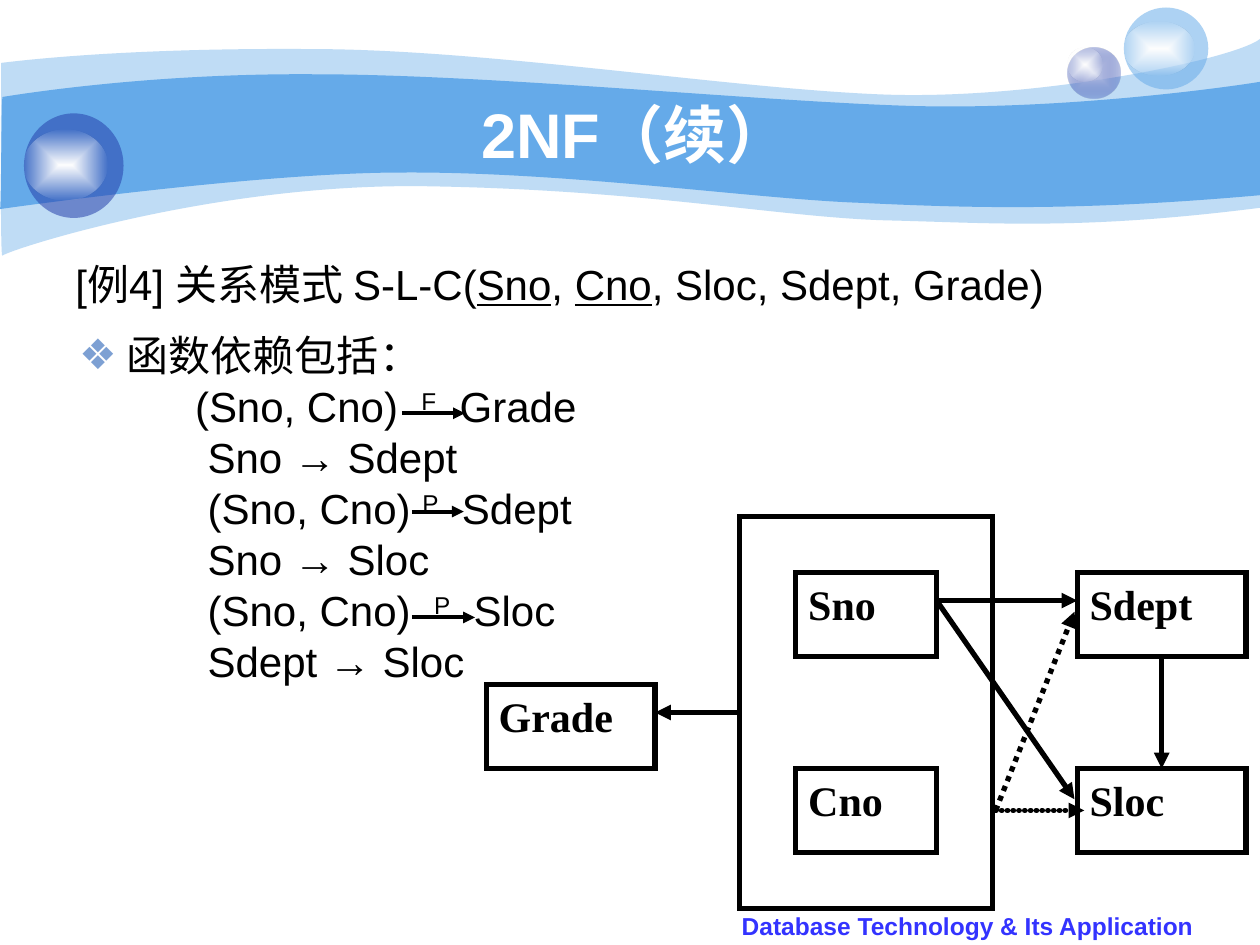
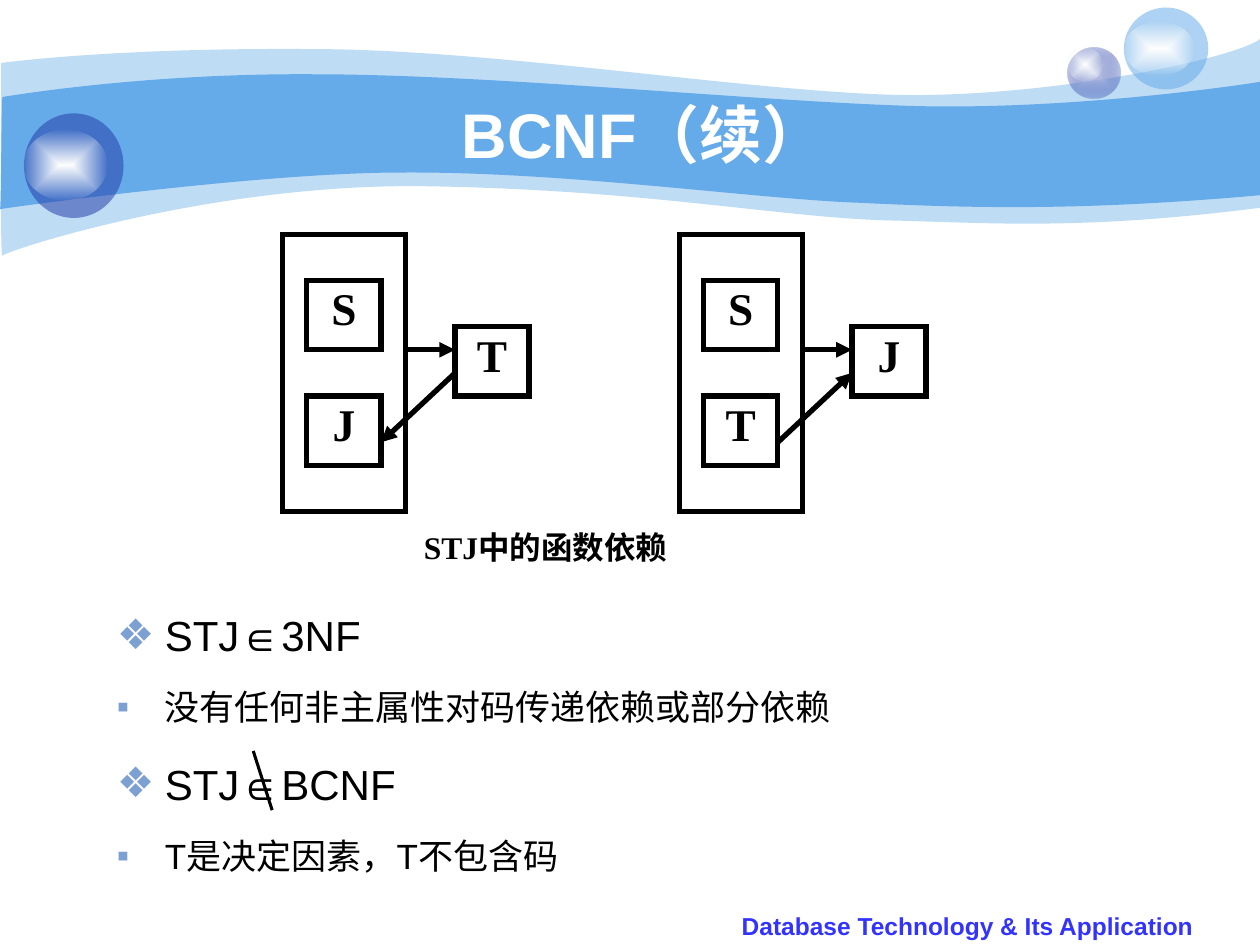
from lxml import etree
from pptx import Presentation
from pptx.dml.color import RGBColor
from pptx.enum.dml import MSO_LINE
from pptx.enum.shapes import MSO_CONNECTOR, MSO_SHAPE
from pptx.enum.text import MSO_ANCHOR, PP_ALIGN
from pptx.oxml.ns import qn
from pptx.util import Inches, Pt

WHITE = RGBColor(0xFF, 0xFF, 0xFF)
BLACK = RGBColor(0, 0, 0)
SKY = RGBColor(0x65, 0xAA, 0xE9)
NAVY = RGBColor(0x23, 0x3D, 0xA9)
LILAC = RGBColor(0xC7, 0xCE, 0xE9)
BULLET = RGBColor(0x7D, 0xA0, 0xD3)
FOOTER_BLUE = RGBColor(0x33, 0x33, 0xFF)
SANS, SERIF = "Arial", "Times New Roman"
LEFT, CENTER = PP_ALIGN.LEFT, PP_ALIGN.CENTER
TOP, MIDDLE = MSO_ANCHOR.TOP, MSO_ANCHOR.MIDDLE
RECTANGLE, OVAL = MSO_SHAPE.RECTANGLE, MSO_SHAPE.OVAL
STRAIGHT, DOTTED = MSO_CONNECTOR.STRAIGHT, MSO_LINE.ROUND_DOT

# Shared frame: waves (start, then curves or straight steps), orbs, footer
FOOTER = "Database Technology & Its Application"
PALE_WAVE = [
    (0.01, 0.5),
    (0.25, 0.47, 1.08, 0.38, 2.47, 0.39), (3.86, 0.39, 5.76, 0.7, 6.99, 0.75),
    (8.22, 0.8, 9.8, 0.47, 10, 0.31), (10, 1.65),
    (8.58, 1.83, 7.88, 1.77, 7.05, 1.75), (6.22, 1.73, 5.15, 1.51, 3.44, 1.48),
    (1.72, 1.44, 0.05, 1.99, 0.02, 2.03), (0, 2.08, 0.01, 0.75, 0.01, 0.5),
]
DEEP_WAVE = [
    (0.02, 0.77),
    (0.03, 0.77, 1.11, 0.58, 2.49, 0.59), (3.87, 0.59, 5.96, 0.8, 7.19, 0.84),
    (8.41, 0.88, 9.76, 0.69, 10, 0.65), (10, 1.55),
    (8.53, 1.68, 7.66, 1.65, 6.82, 1.61), (5.99, 1.58, 4.48, 1.36, 3.18, 1.37),
    (2.04, 1.37, -0.01, 1.66, 0, 1.66), (0.01, 1.66, 0.01, 0.77, 0.02, 0.77),
]
WAVES = [(PALE_WAVE, 41), (DEEP_WAVE, 100)]
GLOSS = [(WHITE, 100), (WHITE, 0)]
# Each fill is one (colour, opacity) or two from the centre outwards
ORBS = [
    ((8.47, 0.38, 0.42, 0.4), [(LILAC, 100), (NAVY, 31)]),
    ((8.47, 0.38, 0.28, 0.27), GLOSS),
    ((8.92, 0.06, 0.67, 0.65), [(SKY, 53)]),
    ((8.92, 0.17, 0.56, 0.43), GLOSS),
    ((0.19, 0.9, 0.79, 0.83), [(NAVY, 53)]),
    ((0.19, 1.03, 0.66, 0.56), GLOSS),
]

# First slide: schema, dependencies and their diagram
SCHEMA = [("[例4] 关系模式 S-L-C(", ""), ("Sno", "underline"), (", ", ""),
          ("Cno", "underline"), (", Sloc, Sdept, Grade)", "")]
# Indent, then the spans; a wide space makes room for an arrow
WIDE = (" ", "wide")
DEPENDENCIES = [
    (0.92, [("(Sno, Cno)", ""), WIDE, ("F", "raised"), WIDE, ("Grade", "")]),
    (1.02, "Sno → Sdept"),
    (1.02, [("(Sno, Cno) ", ""), ("P", "raised"), WIDE, ("Sdept", "")]),
    (1.02, "Sno → Sloc"),
    (1.02, [("(Sno, Cno)", ""), WIDE, ("P", "raised"), WIDE, ("Sloc", "")]),
    (1.02, "Sdept → Sloc"),
]
LABEL_ARROWS = [(3.19, 3.28, 3.69), (3.27, 4.06, 3.68), (3.27, 4.9, 3.77)]

# Diagrams in grid cells: boxes (label, column, row, columns, rows),
# arrows (from column, from row, to column, to row, dash)
SLC_DIAGRAM = {
    "origin": (3.86, 4.1), "cell": (6.03 / 27, 3.11 / 14),
    "text": dict(size=24, font=SERIF, bold=True),
    "boxes": [("", 9, 0, 9, 14), ("Sno", 11, 2, 5, 3), ("Cno", 11, 9, 5, 3),
              ("Grade", 0, 6, 6, 3), ("Sdept", 21, 2, 6, 3), ("Sloc", 21, 9, 6, 3)],
    "arrows": [(9, 7, 6, 7, ""), (16, 3, 21, 3, ""), (16, 3, 20.9, 10.1, ""),
               (18.1, 10.5, 20.9, 3.4, "dotted"), (18.1, 10.5, 21.25, 10.5, "fine"),
               (24, 5, 24, 9, "")],
}


def stj_diagram(left, lower, outside, slanted):
    return {
        "origin": (left, 1.86), "cell": (0.98 / 5, 2.2 / 12),
        "text": dict(size=25.9, font=SERIF, bold=True, align=CENTER, spacing=0.9),
        "boxes": [("", 0, 0, 5, 12), ("S", 1, 2, 3, 3), (lower, 1, 7, 3, 3),
                  (outside, 7, 4, 3, 3)],
        "arrows": [(5, 5, 7, 5, ""), (*slanted, "")],
    }


# Second slide: two diagrams and the conclusions
STJ_DIAGRAMS = [stj_diagram(2.24, "J", "T", (7, 6, 4, 9)),
                stj_diagram(5.39, "T", "J", (4, 9, 7, 6))]
CONCLUSIONS = [
    ("STJ∈3NF", "❖", 24, 6),
    ("没有任何非主属性对码传递依赖或部分依赖", "▪", 20, 5),
    ("STJ∈BCNF", "❖", 24, 6),
    ("T是决定因素，T不包含码", "▪", 20, 5),
]
STRIKE = (2.01, 5.96, 2.16, 6.43)


def add_node(parent, tag, **attributes):
    return etree.SubElement(parent, qn(tag), {k: str(v) for k, v in attributes.items()})


def add_colour(parent, colour, opacity=100):
    node = add_node(parent, "a:srgbClr", val=colour)
    if opacity < 100:
        add_node(node, "a:alpha", val=opacity * 1000)


def paint(shape, stops):
    """Fill with one colour, or with two blended from the centre outwards."""
    shape.shadow.inherit = False
    shape.line.fill.background()
    shape.fill.solid()
    solid = shape.fill._xPr.find(qn("a:solidFill"))
    if len(stops) == 1:
        for child in list(solid):
            solid.remove(child)
        add_colour(solid, *stops[0])
        return
    blend = etree.Element(qn("a:gradFill"), rotWithShape="1")
    stop_list = add_node(blend, "a:gsLst")
    for position, stop in zip((0, 100000), stops):
        add_colour(add_node(stop_list, "a:gs", pos=position), *stop)
    centre = add_node(blend, "a:path", path="rect")
    add_node(centre, "a:fillToRect", l=50000, t=50000, r=50000, b=50000)
    solid.getparent().replace(solid, blend)


def add_wave(page, outline, opacity):
    """Build the outline from its control points, then turn triples into curves."""
    points = [(Inches(x), Inches(y)) for part in outline
              for x, y in zip(part[::2], part[1::2])]
    builder = page.shapes.build_freeform(*points[0])
    builder.add_line_segments(points[1:], close=True)
    wave = builder.convert_to_shape()
    steps = iter(list(wave._element.iter(qn("a:lnTo"))))
    for part in outline[1:]:
        first = next(steps)
        if len(part) == 6:
            curve = etree.Element(qn("a:cubicBezTo"))
            first.getparent().replace(first, curve)
            for step in (first, next(steps), next(steps)):
                curve.append(step[0])
                if step.getparent() is not None:
                    step.getparent().remove(step)
    paint(wave, [(SKY, opacity)])


def write(para, spans, size, font=SANS, colour=BLACK, bold=False, align=LEFT,
          spacing=None, before=0, bullet="", indent=0):
    properties = para._p.get_or_add_pPr()
    if bullet:
        properties.set("marL", str(Inches(0.38)))
        properties.set("indent", str(-Inches(0.38)))
        add_colour(add_node(properties, "a:buClr"), BULLET)
        add_node(properties, "a:buFont", typeface=SANS)
        add_node(properties, "a:buChar", char=bullet)
    else:
        properties.set("marL", "0")
        properties.set("indent", str(Inches(indent)))
        add_node(properties, "a:buNone")
    para.alignment = align
    para.space_before = Pt(before)
    if spacing:
        para.line_spacing = spacing
    para.font.size, para.font.name, para.font.bold = Pt(size), font, bold
    para.font.color.rgb = colour
    for text, style in [(spans, "")] if isinstance(spans, str) else spans:
        span = para.add_run()
        span.text = text
        if style == "underline":
            span.font.underline = True
        elif style == "raised":
            span.font._element.set("baseline", "30000")
        elif style == "wide":
            span.font._element.set("spc", "667")


def add_text(page, place, paragraphs, anchor=TOP):
    """Place a text box; each paragraph is (spans, formatting)."""
    box = page.shapes.add_textbox(*map(Inches, place))
    frame = box.text_frame
    frame.word_wrap = True
    frame.vertical_anchor = anchor
    for index, (spans, formatting) in enumerate(paragraphs):
        para = frame.add_paragraph() if index else frame.paragraphs[0]
        write(para, spans, **formatting)


def add_line(page, ends, width, arrow=True, dash=""):
    line = page.shapes.add_connector(STRAIGHT, *map(Inches, ends))
    line.line.color.rgb = BLACK
    line.line.width = Pt(width)
    outline = line.line._get_or_add_ln()
    if dash == "dotted":
        line.line.dash_style = DOTTED
    elif dash == "fine":
        outline.set("cap", "rnd")
        add_node(add_node(outline, "a:custDash"), "a:ds", d=10000, sp=100000)
    if arrow:
        add_node(outline, "a:tailEnd", type="triangle")
    add_node(line._element.spPr, "a:effectLst")


def add_diagram(page, diagram):
    (left, top), (column, row) = diagram["origin"], diagram["cell"]
    for label, x, y, columns, rows in diagram["boxes"]:
        place = (left + x * column, top + y * row, columns * column, rows * row)
        box = page.shapes.add_shape(RECTANGLE, *map(Inches, place))
        box.shadow.inherit = False
        box.fill.background()
        box.line.color.rgb = BLACK
        box.line.width = Pt(3)
        add_node(box.line._get_or_add_ln(), "a:miter", lim=800000)
        if label:
            box.text_frame.vertical_anchor = TOP
            write(box.text_frame.paragraphs[0], label, **diagram["text"])
    for x1, y1, x2, y2, dash in diagram["arrows"]:
        ends = (left + x1 * column, top + y1 * row, left + x2 * column, top + y2 * row)
        add_line(page, ends, 3, dash=dash)


def add_page(deck, title):
    page = deck.slides.add_slide(deck.slide_layouts[6])
    for outline, opacity in WAVES:
        add_wave(page, outline, opacity)
    for place, stops in ORBS:
        paint(page.shapes.add_shape(OVAL, *map(Inches, place)), stops)
    add_text(page, (1, 0.75, 8.08, 0.62),
             [(title, dict(size=36, colour=WHITE, bold=True, align=CENTER))], MIDDLE)
    add_text(page, (5.71, 7.18, 3.94, 0.35),
             [(FOOTER, dict(size=14, colour=FOOTER_BLUE, bold=True, align=CENTER))])
    return page


def build_2nf(deck):
    page = add_page(deck, "2NF（续）")
    add_text(page, (0.5, 2, 9, 1.12), [(SCHEMA, dict(size=24, before=6))])
    paragraphs = [("函数依赖包括：",
                   dict(size=24, font=SERIF, bullet="❖", spacing=0.9, before=6))]
    for indent, spans in DEPENDENCIES:
        paragraphs.append((spans, dict(size=24, spacing=Pt(23.1), before=6,
                                       indent=indent)))
    add_text(page, (0.53, 2.61, 9, 3.39), paragraphs)
    for start, height, end in LABEL_ARROWS:
        add_line(page, (start, height, end, height), 2.25)
    add_diagram(page, SLC_DIAGRAM)


def build_bcnf(deck):
    page = add_page(deck, " BCNF（续）")
    for diagram in STJ_DIAGRAMS:
        add_diagram(page, diagram)
    add_text(page, (3.19, 4.14, 2.28, 0.55),
             [("STJ中的函数依赖", dict(size=18, font=SERIF, bold=True, align=CENTER))])
    add_text(page, (0.83, 4.63, 8.5, 2.87),
             [(text, dict(size=size, bullet=bullet, spacing=1.4, before=before))
              for text, bullet, size, before in CONCLUSIONS])
    add_line(page, STRIKE, 1.75, arrow=False)


def main():
    deck = Presentation()
    deck.slide_width, deck.slide_height = Inches(10), Inches(7.5)
    build_2nf(deck)
    build_bcnf(deck)
    deck.save("out.pptx")


if __name__ == "__main__":
    main()
